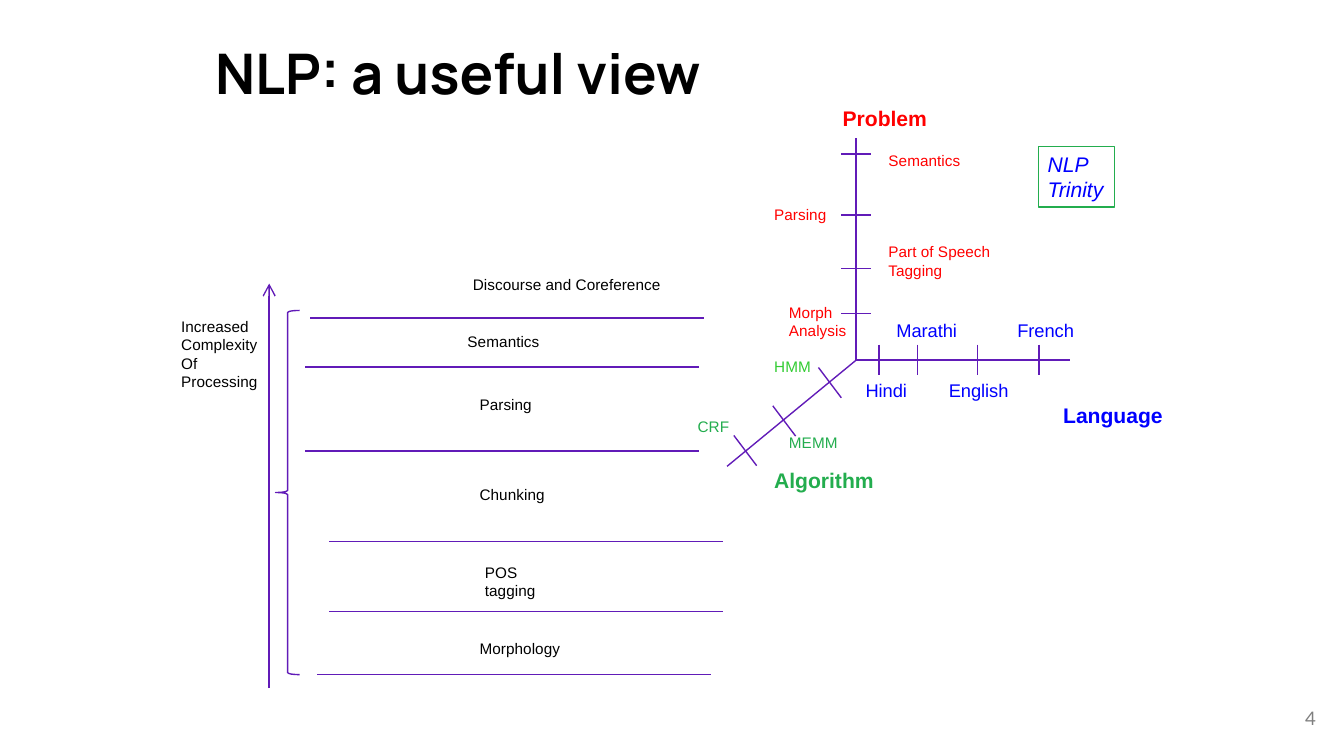
import pptx
import pptx.util
import pptx.dml.color
import pptx.enum.shapes
import pptx.enum.text
import pptx.oxml.ns
from lxml import etree

deck = pptx.Presentation()
deck.slide_width = pptx.util.Inches(10)
deck.slide_height = pptx.util.Inches(5.625)
slide = deck.slides.add_slide(deck.slide_layouts[5])

# Square grid: 100 columns by 56.25 rows
CELL = deck.slide_width / 100
PURPLE, RED, BLUE, GREEN = "611BB8", "FF0000", "0000FF", "23AD4E"
LIME, BLACK, GRAY = "33CC33", "000000", "7F7F7F"
SMALL, MEDIUM, LARGE = 8.25, 9.75, 11.25
# Left, right and vertical insets
NORMAL, SNUG, WIDE = (1, 1, 0.5), (0.7, 0.4, 0.35), (1, 1, 1)


def line(x1, y1, x2, y2):
    stroke = slide.shapes.add_connector(
        pptx.enum.shapes.MSO_CONNECTOR.STRAIGHT,
        *(round(v * CELL) for v in (x1, y1, x2, y2)))
    stroke.line.color.rgb = pptx.dml.color.RGBColor.from_string(PURPLE)
    stroke.line.width = pptx.util.Pt(0.75)
    etree.SubElement(stroke._element.spPr, pptx.oxml.ns.qn("a:effectLst"))
    return stroke


def write(shape, box, text, size, color, insets=NORMAL, wrap=True,
          font="Arial", bold=False, italic=False, grow=True):
    shape.left, shape.top, shape.width, shape.height = (
        round(v * CELL) for v in box)
    frame = shape.text_frame
    frame.text = text
    frame.word_wrap = wrap
    frame.auto_size = (pptx.enum.text.MSO_AUTO_SIZE.SHAPE_TO_FIT_TEXT if grow
                       else pptx.enum.text.MSO_AUTO_SIZE.NONE)
    frame.vertical_anchor = pptx.enum.text.MSO_ANCHOR.TOP
    frame.margin_left = round(insets[0] * CELL)
    frame.margin_right = round(insets[1] * CELL)
    frame.margin_top = frame.margin_bottom = round(insets[2] * CELL)
    for paragraph in frame.paragraphs:
        paragraph.alignment = pptx.enum.text.PP_ALIGN.LEFT
        for run in paragraph.runs:
            run.font.name, run.font.size = font, pptx.util.Pt(size)
            run.font.bold, run.font.italic = bold, italic
            run.font.color.rgb = pptx.dml.color.RGBColor.from_string(color)


# Title
write(slide.shapes.title, (15, 1.9, 63.9, 8.2), "NLP: a useful view", 30,
      BLACK, WIDE, font="Manrope", bold=True, grow=False)

# Layers of processing: separators, then labels
LAYER_WIDTH = 29.3
for left, row in [(23.1, 23.65), (22.7, 27.3), (22.7, 33.55),
                  (24.5, 40.3), (24.5, 45.5), (23.6, 50.2)]:
    line(left, row, left + LAYER_WIDTH, row)

for layer, left, top, width, height in [
        ("Discourse and Coreference", 34.2, 20, 16.9, 2.4),
        ("Semantics", 33.8, 24.2, 8.2, 2.4),
        ("Parsing", 34.7, 28.9, 6.6, 2.4),
        ("Chunking", 34.7, 35.6, 8, 2.4),
        ("POS tagging", 35.1, 41.4, 6, 3.8),
        ("Morphology", 34.7, 47.1, 9.4, 2.4),
        ("Increased\nComplexity\nOf\nProcessing", 12.5, 23.1, 8, 6.6)]:
    write(slide.shapes.add_textbox(0, 0, 0, 0), (left, top, width, height),
          layer, SMALL, BLACK)

# Complexity arrow and brace
complexity = line(20.03, 51.2, 20.03, 21.1)
etree.SubElement(complexity.line._get_or_add_ln(),
                 pptx.oxml.ns.qn("a:tailEnd"), type="arrow")
brace = slide.shapes.add_shape(
    pptx.enum.shapes.MSO_SHAPE.LEFT_BRACE,
    *(round(v * CELL) for v in (20.5, 23.1, 1.8, 27.1)))
brace.shadow.inherit = False
brace.fill.background()
brace.line.color.rgb = pptx.dml.color.RGBColor.from_string(PURPLE)
brace.line.width = pptx.util.Pt(0.75)

# Trinity axes, meeting at one origin
ORIGIN = (63.7, 26.8)
for end in [(63.7, 10.3), (79.6, 26.8), (54.1, 34.7)]:
    line(*ORIGIN, *end)

# Ticks on the problem, language and algorithm axes
for row in (11.45, 16, 20, 23.35):
    line(62.6, row, 64.8, row)
for column in (65.4, 68.25, 72.75, 77.3):
    line(column, 25.65, column, 27.9)
for column, row in [(54.6, 32.4), (57.5, 30.2), (60.9, 27.35)]:
    line(column, row, column + 1.7, row + 2.25)

# Axis names
for axis, left, top, width, color in [
        ("Problem", 62, 7.5, 7.7, RED),
        ("Language", 78.4, 29.6, 8.8, BLUE),
        ("Algorithm", 56.9, 34.4, 8.8, GREEN)]:
    write(slide.shapes.add_textbox(0, 0, 0, 0), (left, top, width, 2.6),
          axis, LARGE, color, SNUG, False, bold=True)

# Tick labels
for label, left, top, width, height, size, color in [
        ("Semantics", 65.4, 10.9, 6.8, 2.1, SMALL, RED),
        ("Parsing", 56.9, 14.9, 5.3, 2.1, SMALL, RED),
        ("Part of Speech\nTagging", 65.4, 17.7, 9, 3.5, SMALL, RED),
        ("Morph\nAnalysis", 58, 22.2, 5.7, 3.5, SMALL, RED),
        ("Hindi", 63.7, 27.9, 4.5, 2.3, MEDIUM, BLUE),
        ("Marathi", 66, 23.4, 5.9, 2.3, MEDIUM, BLUE),
        ("English", 69.9, 27.9, 5.8, 2.3, MEDIUM, BLUE),
        ("French", 75, 23.4, 5.6, 2.3, MEDIUM, BLUE),
        ("HMM", 56.9, 26.2, 4.1, 2.1, SMALL, LIME),
        ("MEMM", 58, 31.9, 5, 2.1, SMALL, GREEN),
        ("CRF", 51.2, 30.7, 3.8, 2.1, SMALL, GREEN)]:
    write(slide.shapes.add_textbox(0, 0, 0, 0), (left, top, width, height),
          label, size, color, SNUG, False)

# Trinity caption
trinity = slide.shapes.add_shape(
    pptx.enum.shapes.MSO_SHAPE.RECTANGLE, 0, 0, 0, 0)
trinity.shadow.inherit = False
trinity.fill.background()
trinity.line.color.rgb = pptx.dml.color.RGBColor.from_string(GREEN)
trinity.line.width = pptx.util.Pt(0.75)
write(trinity, (77.25, 10.9, 5.7, 4.5), "NLP\nTrinity", LARGE, BLUE, SNUG,
      False, italic=True)

# Page number
page = slide.shapes.add_textbox(0, 0, 0, 0)
write(page, (92.9, 51.3, 6, 4.3), "4", 10, GRAY, WIDE, font="Lato",
      grow=False)
page.text_frame.vertical_anchor = pptx.enum.text.MSO_ANCHOR.MIDDLE
page.text_frame.paragraphs[0].alignment = pptx.enum.text.PP_ALIGN.RIGHT

deck.save("out.pptx")
